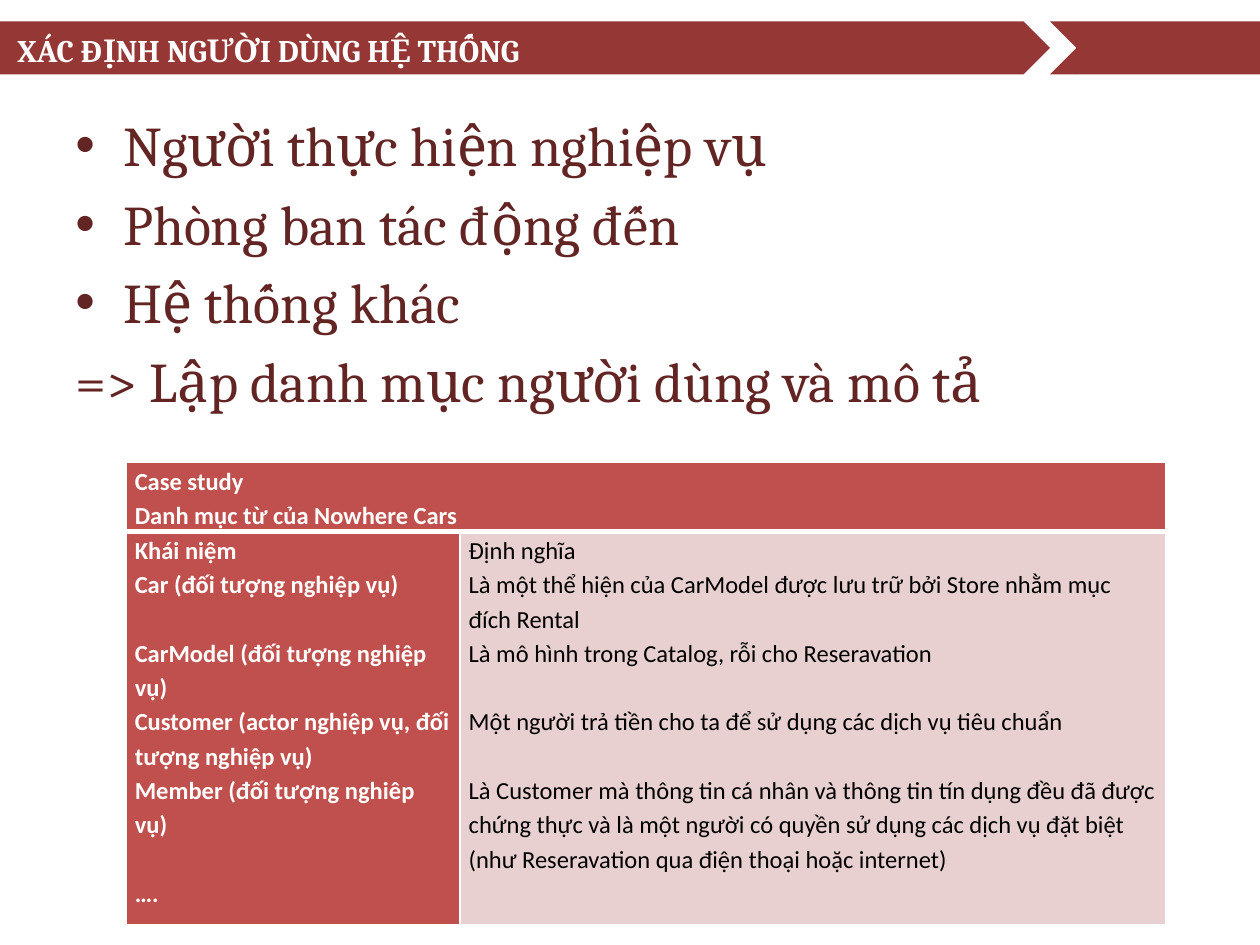
import pptx
import pptx.util
import pptx.dml.color
import pptx.enum.shapes
import pptx.enum.text
import pptx.oxml.ns
import lxml.etree

Inches = pptx.util.Inches
Pt = pptx.util.Pt
RGBColor = pptx.dml.color.RGBColor
Kind = pptx.enum.shapes.MSO_SHAPE
Anchor = pptx.enum.text.MSO_ANCHOR
qn = pptx.oxml.ns.qn

MAROON = RGBColor(0x95, 0x37, 0x35)
DARK = RGBColor(0x63, 0x25, 0x23)
RED = RGBColor(0xC0, 0x50, 0x4D)
PINK = RGBColor(0xE8, 0xD0, 0xD0)
WHITE = RGBColor(0xFF, 0xFF, 0xFF)
BLACK = RGBColor(0, 0, 0)

LINE = 19.6
HEAD = [("Case study", 0), ("Danh mục từ của Nowhere Cars", 0)]
TERMS = [
    ("Khái niệm", 0),
    ("Car (đối tượng nghiệp vụ)", 1),
    ("CarModel (đối tượng nghiệp vụ)", 0),
    ("Customer (actor nghiệp vụ, đối tượng nghiệp vụ)", 0),
    ("Member (đối tượng nghiêp vụ)", 1),
    ("….", 0),
]
NOTES = [
    ("Định nghĩa", 0),
    ("Là một thể hiện của CarModel được lưu trữ bởi Store nhằm mục đích Rental", 0),
    ("Là mô hình trong Catalog, rỗi cho Reseravation", 1),
    ("Một người trả tiền cho ta để sử dụng các dịch vụ tiêu chuẩn", 1),
    ("Là Customer mà thông tin cá nhân và thông tin tín dụng đều đã được chứng "
     "thực và là một người có quyền sử dụng các dịch vụ đặt biệt (như "
     "Reseravation qua điện thoại hoặc internet)", 0),
]
POINTS = [
    ("Người thực hiện nghiệp vụ", True),
    ("Phòng ban tác động đến", True),
    ("Hệ thống khác", True),
    ("=> Lập danh mục người dùng và mô tả", False),
]


def add_run(para, text, size, face, color, bold=False):
    run = para.add_run()
    run.text = text
    run.font.size = Pt(size)
    run.font.name = face
    run.font.bold = bold
    run.font.color.rgb = color


def next_para(frame, index):
    return frame.add_paragraph() if index else frame.paragraphs[0]


def add_box(slide, left, top, width, height):
    box = slide.shapes.add_textbox(Inches(left), Inches(top), Inches(width), Inches(height))
    box.text_frame.word_wrap = True
    return box.text_frame


def add_banner(slide, left, top, width, height):
    tip = left + width * 5 / 6
    half = height / 2
    parts = [
        (Kind.PENTAGON, left, tip - left, 0.5),
        (Kind.PENTAGON, tip + half, left + width - tip - half, 0),
        (Kind.CHEVRON, tip, height, 0.5),
    ]
    for kind, x, wide, adjust in parts:
        shape = slide.shapes.add_shape(kind, Inches(x), Inches(top), Inches(wide), Inches(height))
        shape.adjustments[0] = adjust
        shape.shadow.inherit = False
        shape.fill.solid()
        shape.fill.fore_color.rgb = MAROON
        shape.line.fill.background()
    frame = add_box(slide, left + 0.04, top, 7.1, 0.45)
    frame.vertical_anchor = Anchor.MIDDLE
    add_run(frame.paragraphs[0], "XÁC ĐỊNH NGƯỜI DÙNG HỆ THỐNG", 18, "Cambria", WHITE, True)


def add_points(slide, left, top, width, height):
    frame = add_box(slide, left, top, width, height)
    for index, (text, dotted) in enumerate(POINTS):
        para = next_para(frame, index)
        para.space_before = Pt(6.4)
        if dotted:
            props = para._p.get_or_add_pPr()
            props.set("marL", str(Inches(0.38)))
            props.set("indent", str(Inches(-0.38)))
            lxml.etree.SubElement(props, qn("a:buFont")).set("typeface", "Arial")
            lxml.etree.SubElement(props, qn("a:buChar")).set("char", "•")
        add_run(para, text, 32, "Cambria", DARK)


def set_edge(cell, side, width):
    edge = lxml.etree.SubElement(cell._tc.get_or_add_tcPr(), qn("a:" + side), w=str(Pt(width)))
    fill = lxml.etree.SubElement(edge, qn("a:solidFill"))
    lxml.etree.SubElement(fill, qn("a:srgbClr"), val=str(WHITE))


def fill_cell(cell, lines, back, color, bold, upper, lower):
    for side, width in (("lnL", 1), ("lnR", 1), ("lnT", upper), ("lnB", lower)):
        set_edge(cell, side, width)
    cell.fill.solid()
    cell.fill.fore_color.rgb = back
    cell.margin_left = cell.margin_right = Inches(0.07)
    cell.margin_top = cell.margin_bottom = 0
    for index, (text, gap) in enumerate(lines):
        para = next_para(cell.text_frame, index)
        para.line_spacing = 1.15
        para.space_after = Pt(gap * LINE)
        add_run(para, text, 14, "Calibri", color, bold)


def add_terms(slide, left, top, width, height):
    first, head = 2.65, 0.55
    table = slide.shapes.add_table(
        2, 2, Inches(left), Inches(top), Inches(width), Inches(height)).table
    table.columns[0].width = Inches(first)
    table.columns[1].width = Inches(width - first)
    table.rows[0].height = Inches(head)
    table.rows[1].height = Inches(height - head)
    table.cell(0, 0).merge(table.cell(0, 1))
    fill_cell(table.cell(0, 0), HEAD, RED, WHITE, True, 1, 3)
    fill_cell(table.cell(0, 1), [], RED, WHITE, True, 1, 3)
    fill_cell(table.cell(1, 0), TERMS, RED, WHITE, True, 3, 1)
    fill_cell(table.cell(1, 1), NOTES, PINK, BLACK, False, 3, 1)


deck = pptx.Presentation()
deck.slide_width = Inches(10)
deck.slide_height = Inches(7.5)
slide = deck.slides.add_slide(deck.slide_layouts[6])
add_banner(slide, 0, 0.17, 10, 0.42)
add_points(slide, 0.5, 0.83, 9, 6.42)
add_terms(slide, 1, 3.67, 8.25, 3.67)
deck.save("out.pptx")
